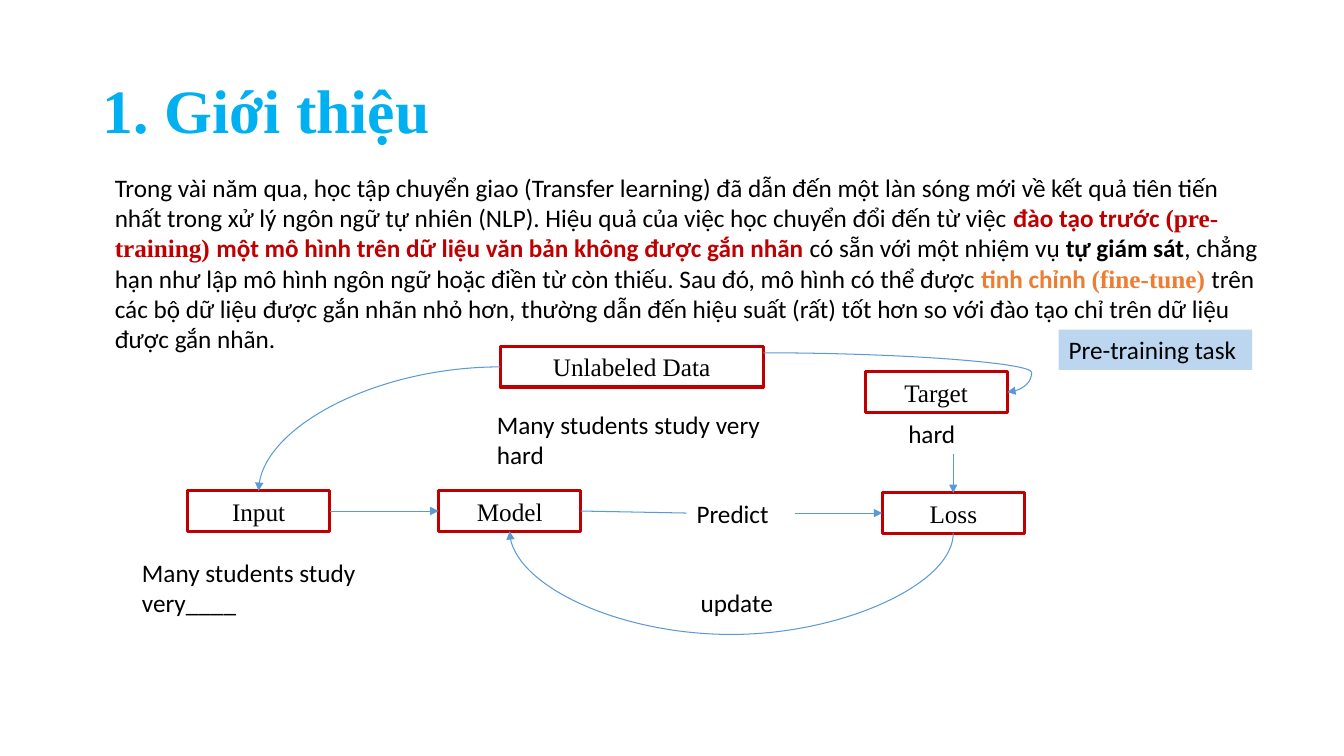
from lxml import etree
from pptx import Presentation
from pptx.dml.color import RGBColor
from pptx.enum.shapes import MSO_CONNECTOR, MSO_SHAPE
from pptx.enum.text import MSO_ANCHOR, MSO_AUTO_SIZE, PP_ALIGN
from pptx.oxml.ns import qn
from pptx.util import Inches, Pt

RECTANGLE = MSO_SHAPE.RECTANGLE
STRAIGHT, CURVE = MSO_CONNECTOR.STRAIGHT, MSO_CONNECTOR.CURVE
LEFT, CENTER = PP_ALIGN.LEFT, PP_ALIGN.CENTER
TOP, MIDDLE = MSO_ANCHOR.TOP, MSO_ANCHOR.MIDDLE
FIT_SHAPE, NO_FIT = MSO_AUTO_SIZE.SHAPE_TO_FIT_TEXT, MSO_AUTO_SIZE.NONE

BLACK = RGBColor(0x00, 0x00, 0x00)
RED = RGBColor(0xC0, 0x00, 0x00)
ORANGE = RGBColor(0xED, 0x7D, 0x31)
SKY = RGBColor(0x00, 0xB0, 0xF0)
ARROW_BLUE = RGBColor(0x5B, 0x9B, 0xD5)
PALE_BLUE = RGBColor(0xBB, 0xD6, 0xEE)
SANS, SERIF = "Calibri", "Times New Roman"

TITLE = "1. Giới thiệu"
INTRO = [  # text, font, colour, bold
    ("Trong vài năm qua, học tập chuyển giao (Transfer learning) đã dẫn đến một làn sóng mới "
     "về kết quả tiên tiến nhất trong xử lý ngôn ngữ tự nhiên (NLP). Hiệu quả của việc học "
     "chuyển đổi đến từ việc ", SANS, BLACK, False),
    ("đào tạo trước ", SANS, RED, True),
    ("(pre-training) ", SERIF, RED, True),
    ("một mô hình trên dữ liệu văn bản không được gắn nhãn ", SANS, RED, True),
    ("có sẵn với một nhiệm vụ ", SANS, BLACK, False),
    ("tự giám sát", SANS, BLACK, True),
    (", chẳng hạn như lập mô hình ngôn ngữ hoặc điền từ còn thiếu. Sau đó, mô hình có thể "
     "được ", SANS, BLACK, False),
    ("tinh chỉnh ", SANS, ORANGE, True),
    ("(fine-tune) ", SERIF, ORANGE, True),
    ("trên các bộ dữ liệu được gắn nhãn nhỏ hơn, thường dẫn đến hiệu suất (rất) tốt hơn so "
     "với đào tạo chỉ trên dữ liệu được gắn nhãn.", SANS, BLACK, False),
]
ROW = 0.4  # height of a one-line box
STAGES = {  # left, top, width
    "Unlabeled Data": (4.96, 3.44, 2.61),
    "Input": (1.86, 4.87, 1.41),
    "Model": (4.35, 4.87, 1.41),
    "Loss": (8.75, 4.89, 1.41),
    "Target": (8.58, 3.69, 1.41),
}
LABELS = [  # text, left, top, width, height
    ("Many students study very hard", 4.83, 4.01, 2.87, 0.71),
    ("Many students study very____", 1.31, 5.48, 2.87, 0.71),
    ("Predict", 6.81, 4.89, 1.09, ROW),
    ("hard", 8.91, 4.1, 1.09, ROW),
    ("update", 6.85, 5.78, 1.09, ROW),
]
TASK = ("Pre-training task", 10.5, 3.27, 1.92, ROW)


def write(shape, runs, size=18, align=LEFT, anchor=TOP, fit=FIT_SHAPE, spacing=None):
    """Fill a shape with one paragraph of (text, font, colour, bold) runs."""
    frame = shape.text_frame
    frame.word_wrap = True
    frame.auto_size = fit
    frame.vertical_anchor = anchor
    paragraph = frame.paragraphs[0]
    paragraph.alignment = align
    if spacing:
        paragraph.line_spacing = spacing
    for text, face, color, bold in runs:
        run = paragraph.add_run()
        run.text = text
        run.font.name = face
        run.font.size = Pt(size)
        run.font.color.rgb = color
        run.font.bold = bold


def add_box(left, top, width, height, fill=None, line=None):
    box = slide.shapes.add_shape(RECTANGLE, *map(Inches, (left, top, width, height)))
    box.shadow.inherit = False
    if fill is None:
        box.fill.background()
    else:
        box.fill.solid()
        box.fill.fore_color.rgb = fill
    if line is None:
        box.line.fill.background()
    else:
        box.line.color.rgb = line
        box.line.width = Pt(2.25)
    return box


def add_label(text, *place):
    label = slide.shapes.add_textbox(*map(Inches, place))
    write(label, [(text, SANS, BLACK, False)])


def add_arrow(start, end, kind=STRAIGHT, head=True, preset=None, bend=None, turn=0):
    """Draw a connector; bend is a share of its width, turn is in degrees."""
    arrow = slide.shapes.add_connector(kind, *map(Inches, (*start, *end)))
    arrow.line.color.rgb = ARROW_BLUE
    arrow.line.width = Pt(0.75)
    properties = arrow._element.spPr
    if head:
        etree.SubElement(properties.find(qn("a:ln")), qn("a:tailEnd"), type="triangle")
    etree.SubElement(properties, qn("a:effectLst"))
    geometry = properties.find(qn("a:prstGeom"))
    if preset:
        geometry.set("prst", preset)
    if bend is not None:
        etree.SubElement(geometry.find(qn("a:avLst")), qn("a:gd"),
                         name="adj1", fmla=f"val {round(bend * 100000)}")
    if turn:
        properties.find(qn("a:xfrm")).set("rot", str(turn * 60000))


def side(stage, across, down):
    """Point on a stage box, as shares of its width and height."""
    left, top, width = STAGES[stage]
    return left + across * width, top + down * ROW


prs = Presentation()
prs.slide_width, prs.slide_height = Inches(13.33), Inches(7.5)
slide = prs.slides.add_slide(prs.slide_layouts[5])

title = slide.shapes.title
title.left, title.top, title.width, title.height = map(Inches, (0.92, 0.4, 11.5, 1.45))
write(title, [(TITLE, SERIF, SKY, True)], size=44, anchor=MIDDLE, fit=NO_FIT, spacing=0.9)

intro = slide.shapes.add_textbox(*map(Inches, (1.04, 1.66, 11.56, 1.92)))
write(intro, INTRO)

for stage, (left, top, width) in STAGES.items():
    write(add_box(left, top, width, ROW, line=RED),
          [(stage, SERIF, BLACK, False)], align=CENTER)
for label in LABELS:
    add_label(*label)

add_arrow(side("Unlabeled Data", 0, 0.5), side("Input", 0.5, 0), CURVE,
          preset="curvedConnector2")
add_arrow(side("Unlabeled Data", 1, 0.15), side("Target", 1, 0.5), CURVE, bend=1.1)
add_arrow(side("Input", 1, 0.5), side("Model", 0, 0.5))
add_arrow(side("Model", 1, 0.5), (6.81, 5.09), head=False)
add_arrow((7.89, 5.09), side("Loss", 0, 0.5))
loss_top = side("Loss", 0.5, 0)
add_arrow((loss_top[0], 4.5), loss_top)

# The update loop is a tall, narrow curve turned by a quarter about its centre.
loss_x, loss_y = side("Loss", 0.5, 1)
model_x, model_y = side("Model", 0.5, 1)
center_x, center_y = (loss_x + model_x) / 2, (loss_y + model_y) / 2
half_span, half_rise = (loss_x - model_x) / 2, (loss_y - model_y) / 2
LOOP_DEPTH = 1.0
add_arrow((center_x + half_rise, center_y - half_span),
          (center_x - half_rise, center_y + half_span),
          CURVE, bend=-LOOP_DEPTH / (2 * half_rise), turn=90)

task_text, *task_place = TASK
write(add_box(*task_place, fill=PALE_BLUE), [(task_text, SANS, BLACK, False)])

prs.save("out.pptx")
